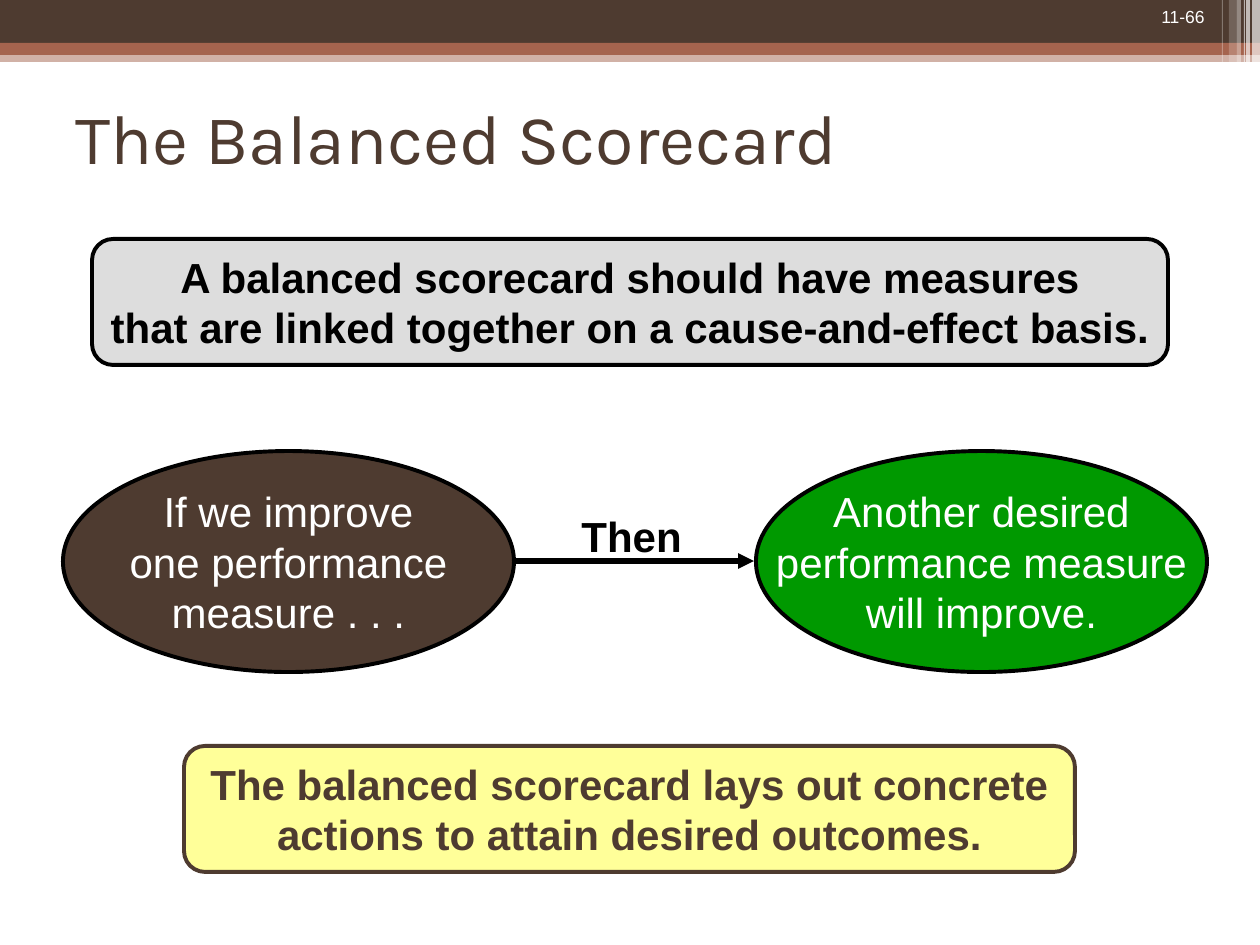
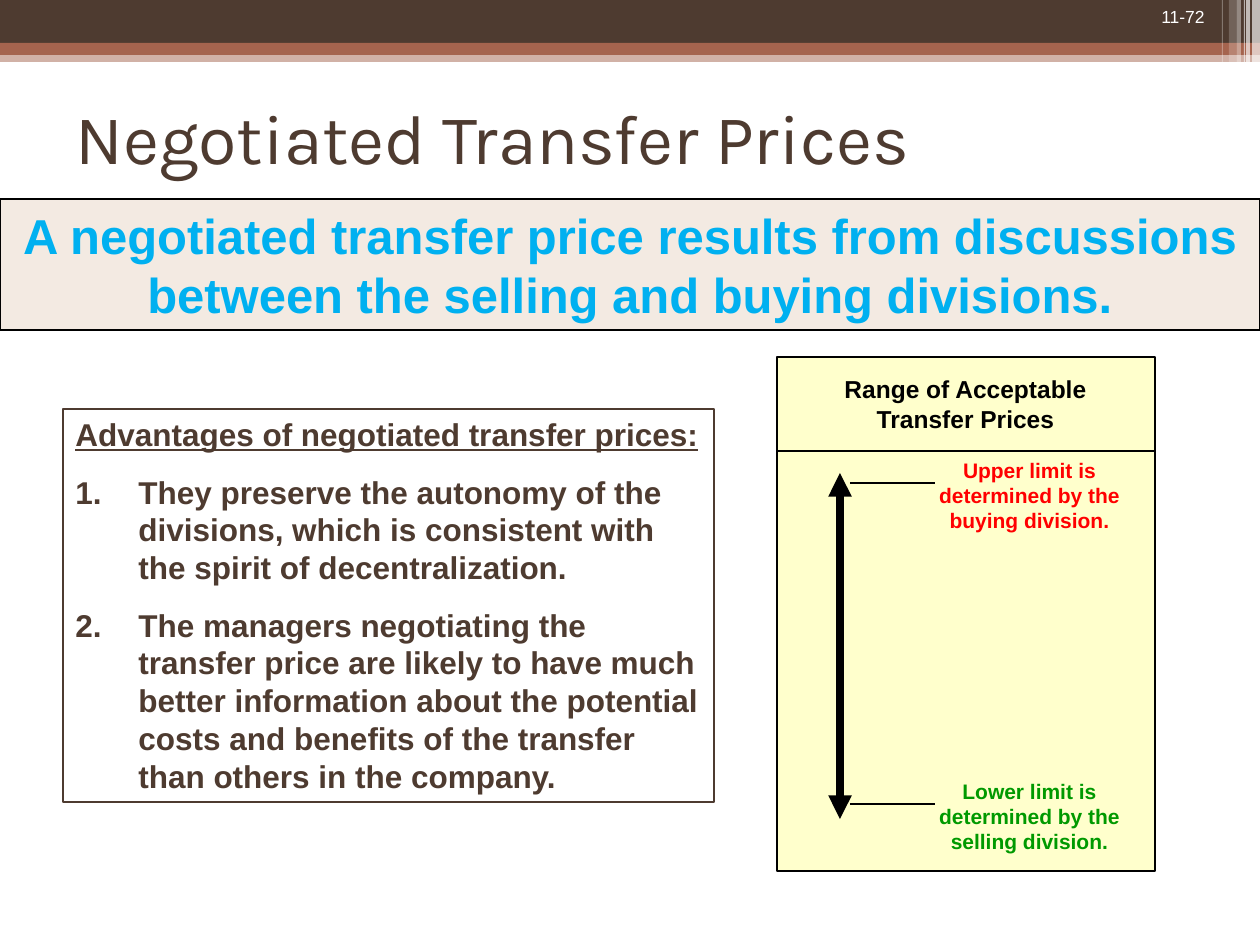
from lxml import etree
from pptx import Presentation
from pptx.dml.color import RGBColor
from pptx.enum.shapes import MSO_CONNECTOR, MSO_SHAPE
from pptx.enum.text import MSO_ANCHOR, MSO_AUTO_SIZE, PP_ALIGN
from pptx.oxml.ns import qn
from pptx.util import Emu, Pt

RECTANGLE, ROUNDED, OVAL = MSO_SHAPE.RECTANGLE, MSO_SHAPE.ROUNDED_RECTANGLE, MSO_SHAPE.OVAL
STRAIGHT = MSO_CONNECTOR.STRAIGHT
LEFT, CENTER, RIGHT = PP_ALIGN.LEFT, PP_ALIGN.CENTER, PP_ALIGN.RIGHT
TOP, MIDDLE = MSO_ANCHOR.TOP, MSO_ANCHOR.MIDDLE
NO_AUTOFIT = MSO_AUTO_SIZE.NONE

PX = 914400 / 126
SLIDE_WIDTH, SLIDE_HEIGHT = 1260, 945
TITLE_ONLY = 5

BROWN, RUST, WHITE, BLACK = "4E3B30", "A5644E", "FFFFFF", "000000"
GREEN, RED, SKY = "009900", "FF0000", "00B0F0"
GREY, YELLOW, CREAM, BEIGE = "DDDDDD", "FFFF99", "FFFFCC", "F3EAE2"

TITLE_BOX = (63, 63, 1134, 147)
NUMBER_BOX = (1081, 0, 136, 34)
BANDS = [(50, 12, RUST, 50), (0, 43, BROWN, 100), (43, 12, RUST, 100)]
STRIPES = [
    (1252, 8, 86, 65), (1246, 4, 86, 65), (1244, 1, 86, 60),
    (1237, 4, 86, 40), (1229, 8, 81, 20), (1222, 1, 81, 30),
]

SCORECARD = {"title": "The Balanced Scorecard", "number": "11-66"}
STATEMENTS = [
    ("A balanced scorecard should have measures\n"
     "that are linked together on a cause-and-effect basis.",
     (92, 239, 1076, 126), GREY, BLACK, False),
    ("The balanced scorecard lays out concrete actions to attain desired outcomes.",
     (184, 746, 891, 126), YELLOW, BROWN, True),
]
CAUSE_AND_EFFECT = [
    ("If we improve\none performance\nmeasure . . .", 63, BROWN),
    ("Another desired\nperformance measure\nwill improve.", 756, GREEN),
]
OVAL_TOP, OVAL_WIDTH, OVAL_HEIGHT = 451, 451, 221

PRICES = {"title": "Negotiated Transfer Prices", "number": "11-72"}
DEFINITION = ("A negotiated transfer price results from discussions "
              "between the selling and buying divisions.")
ADVANTAGES_HEADING = "Advantages of negotiated transfer prices:"
ADVANTAGES = [
    "They preserve the autonomy of the divisions, which is consistent "
    "with the spirit of decentralization.",
    "The managers negotiating the transfer price are likely to have much better "
    "information about the potential costs and benefits of the transfer "
    "than others in the company.",
]
RANGE_HEADING = "Range of Acceptable Transfer Prices"
LIMITS = [
    ("Upper limit is determined by the buying division.", 483, RED),
    ("Lower limit is determined by the selling division.", 804, GREEN),
]
RANGE_LEFT, RANGE_TOP, RANGE_WIDTH, RANGE_HEIGHT = 777, 357, 378, 514
RANGE_DIVIDER = 451


def px(value):
    return Emu(round(value * PX))


def color(hex_string):
    return RGBColor.from_string(hex_string)


def number_paragraph(paragraph):
    properties = paragraph._p.get_or_add_pPr()
    properties.set("marL", str(px(63)))
    properties.set("indent", str(px(-63)))
    etree.SubElement(properties, qn("a:buFont"), typeface="+mj-lt")
    etree.SubElement(properties, qn("a:buAutoNum"), type="arabicPeriod")


def write(shape, *texts, size=24, ink=BLACK, bold=False, font="Arial", align=CENTER,
          anchor=TOP, wrap=True, gap=0, numbered=False, underline_first=False):
    frame = shape.text_frame
    frame.auto_size = NO_AUTOFIT
    frame.word_wrap = wrap
    frame.vertical_anchor = anchor
    for index, text in enumerate(texts):
        paragraph = frame.add_paragraph() if index else frame.paragraphs[0]
        if numbered and index:
            number_paragraph(paragraph)
        paragraph.text = text
        paragraph.alignment = align
        paragraph.space_before = Pt(gap if index else 0)
        for run in paragraph.runs:
            run.font.name = font
            run.font.size = Pt(size)
            run.font.bold = bold
            run.font.color.rgb = color(ink)
            run.font.underline = underline_first and index == 0


def add_shape(slide, kind, box, fill, line=None, width=0.75, opacity=100):
    shape = slide.shapes.add_shape(kind, *map(px, box))
    shape.shadow.inherit = False
    shape.fill.solid()
    shape.fill.fore_color.rgb = color(fill)
    if opacity < 100:
        tint = next(shape.element.spPr.iter(qn("a:srgbClr")))
        etree.SubElement(tint, qn("a:alpha"), val=str(opacity * 1000))
    if line:
        shape.line.color.rgb = color(line)
        shape.line.width = Pt(width)
    else:
        shape.line.fill.background()
    return shape


def add_label(slide, text, box, **style):
    write(slide.shapes.add_textbox(*map(px, box)), text, **style)


def add_line(slide, start, end, width=0.75, arrowheads=()):
    connector = slide.shapes.add_connector(STRAIGHT, *map(px, start + end))
    connector.line.color.rgb = color(BLACK)
    connector.line.width = Pt(width)
    properties = connector.element.spPr
    for arrowhead in arrowheads:
        etree.SubElement(properties.find(qn("a:ln")), qn(arrowhead), type="triangle")
    etree.SubElement(properties, qn("a:effectLst"))


def add_slide(presentation, title, number):
    slide = presentation.slides.add_slide(presentation.slide_layouts[TITLE_ONLY])
    for top, height, fill, opacity in BANDS:
        add_shape(slide, RECTANGLE, (0, top, SLIDE_WIDTH, height), fill, opacity=opacity)
    for left, width, height, opacity in STRIPES:
        add_shape(slide, RECTANGLE, (left, 0, width, height), WHITE, opacity=opacity)
    add_label(slide, number, NUMBER_BOX, size=10, ink=WHITE, align=RIGHT)
    heading = slide.shapes.title
    heading.left, heading.top, heading.width, heading.height = map(px, TITLE_BOX)
    write(heading, title, size=40, ink=BROWN, font="Karla", align=LEFT, anchor=MIDDLE)
    return slide


def build_scorecard(presentation):
    slide = add_slide(presentation, **SCORECARD)
    for text, box, fill, ink, wrap in STATEMENTS:
        panel = add_shape(slide, ROUNDED, box, fill, line=ink, width=2.25)
        write(panel, text, ink=ink, bold=True, wrap=wrap)
    for text, left, fill in CAUSE_AND_EFFECT:
        oval = add_shape(slide, OVAL, (left, OVAL_TOP, OVAL_WIDTH, OVAL_HEIGHT),
                         fill, line=BLACK, width=2.25)
        write(oval, text, ink=WHITE, anchor=MIDDLE, wrap=False)
    cause_left, effect_left = (left for _, left, _ in CAUSE_AND_EFFECT)
    middle = OVAL_TOP + OVAL_HEIGHT // 2
    add_line(slide, (cause_left + OVAL_WIDTH + 2, middle), (effect_left - 2, middle),
             width=3, arrowheads=["a:tailEnd"])
    add_label(slide, "Then", (558, 504, 147, 63), bold=True)


def build_prices(presentation):
    slide = add_slide(presentation, **PRICES)
    banner = add_shape(slide, RECTANGLE, (0, 199, SLIDE_WIDTH, 131), BEIGE, line=BLACK)
    write(banner, DEFINITION, size=28, ink=SKY, bold=True)

    advantages = add_shape(slide, RECTANGLE, (63, 409, 651, 393), WHITE, line=BROWN)
    write(advantages, ADVANTAGES_HEADING, *ADVANTAGES, size=18, ink=BROWN, bold=True,
          align=LEFT, gap=11.2, numbered=True, underline_first=True)

    add_shape(slide, RECTANGLE, (RANGE_LEFT, RANGE_TOP, RANGE_WIDTH, RANGE_HEIGHT),
              CREAM, line=BLACK)
    add_label(slide, RANGE_HEADING, (RANGE_LEFT + 10, RANGE_TOP + 11, RANGE_WIDTH - 21, 72),
              size=14, bold=True)
    add_line(slide, (RANGE_LEFT, RANGE_DIVIDER), (RANGE_LEFT + RANGE_WIDTH, RANGE_DIVIDER))
    arrow_x = RANGE_LEFT + 63
    upper, lower = (level for _, level, _ in LIMITS)
    add_line(slide, (arrow_x, lower + 15), (arrow_x, upper - 10), width=4.5,
             arrowheads=["a:headEnd", "a:tailEnd"])
    for text, level, ink in LIMITS:
        add_line(slide, (arrow_x + 10, level), (arrow_x + 95, level))
        add_label(slide, text, (arrow_x + 74, level - 32, 231, 88),
                  size=12, ink=ink, bold=True)


def main():
    presentation = Presentation()
    presentation.slide_width = px(SLIDE_WIDTH)
    presentation.slide_height = px(SLIDE_HEIGHT)
    build_scorecard(presentation)
    build_prices(presentation)
    presentation.save("out.pptx")


if __name__ == "__main__":
    main()
